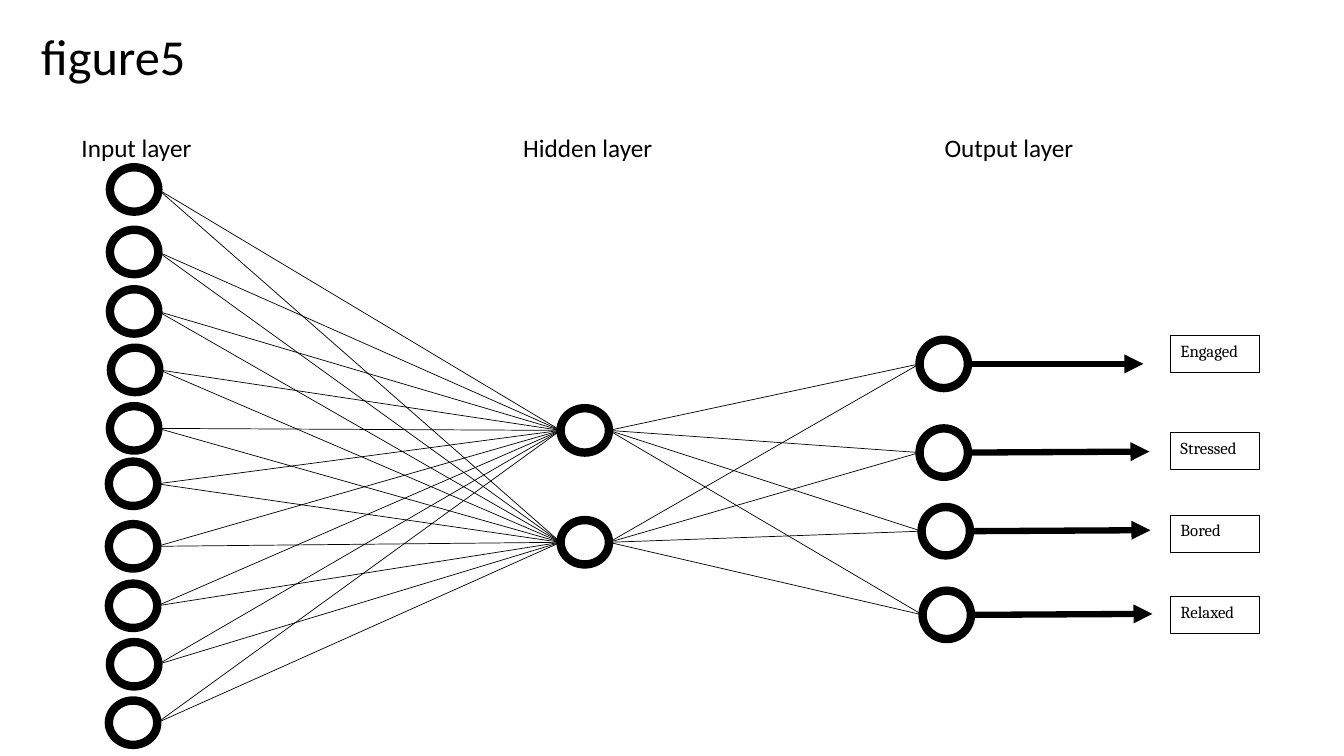
from dataclasses import dataclass
from itertools import product

from lxml.etree import SubElement
from pptx import Presentation
from pptx.dml.color import RGBColor
from pptx.enum.shapes import MSO_CONNECTOR, MSO_SHAPE
from pptx.enum.text import MSO_ANCHOR, MSO_AUTO_SIZE, PP_ALIGN
from pptx.oxml.ns import qn
from pptx.util import Inches, Pt


@dataclass(frozen=True)
class Theme:
    """Colours, fonts, type sizes and line weights."""
    ink: RGBColor = RGBColor(0, 0, 0)
    paper: RGBColor = RGBColor(255, 255, 255)
    font: str = "Calibri"
    label_font: str = "Cambria"
    title: int = 36
    heading: int = 18
    label: int = 12
    ring: float = 6
    arrow: float = 4.5
    border: float = 0.75
    link: float = 0.5


@dataclass(frozen=True)
class Node:
    """A neuron placed by its left and top edges."""
    left: float
    top: float
    height: float = 0.44
    width: float = 0.48

    @property
    def entry(self):
        """Return the left connection point."""
        return self.left, self.top + self.height / 2

    @property
    def exit_point(self):
        """Return the right connection point."""
        return self.left + self.width, self.top + self.height / 2


class Network:
    """Draws the parts of a neural network on one slide."""

    def __init__(self, s, theme):
        self.s = s
        self.theme = theme

    def run(self, tf, text, size, font):
        """Put one run into a text frame."""
        p = tf.paragraphs[0]
        p.alignment = PP_ALIGN.LEFT
        r = p.add_run()
        r.text = text
        r.font.size = Pt(size)
        r.font.name = font
        r.font.color.rgb = self.theme.ink

    def text(self, text, left, top, width, height, size):
        """Add a text box."""
        tf = self.s.shapes.add_textbox(*map(Inches, (left, top, width, height))).text_frame
        tf.word_wrap = True
        tf.auto_size = MSO_AUTO_SIZE.SHAPE_TO_FIT_TEXT
        self.run(tf, text, size, self.theme.font)

    def shape(self, kind, left, top, width, height, weight):
        """Add an outlined preset shape."""
        sp = self.s.shapes.add_shape(kind, *map(Inches, (left, top, width, height)))
        sp.shadow.inherit = False
        sp.line.color.rgb = self.theme.ink
        sp.line.width = Pt(weight)
        return sp

    def node(self, n):
        """Add a neuron ring."""
        sp = self.shape(MSO_SHAPE.FLOWCHART_CONNECTOR, n.left, n.top, n.width, n.height,
                        self.theme.ring)
        sp.fill.background()

    def label(self, text, left, top, width=0.88, height=0.37):
        """Add a boxed output label."""
        sp = self.shape(MSO_SHAPE.RECTANGLE, left, top, width, height, self.theme.border)
        sp.fill.solid()
        sp.fill.fore_color.rgb = self.theme.paper
        tf = sp.text_frame
        tf.word_wrap = True
        tf.vertical_anchor = MSO_ANCHOR.TOP
        self.run(tf, text, self.theme.label, self.theme.label_font)

    def line(self, start, end, weight):
        """Add a straight line."""
        cx = self.s.shapes.add_connector(MSO_CONNECTOR.STRAIGHT, *map(Inches, (*start, *end)))
        cx.line.color.rgb = self.theme.ink
        cx.line.width = Pt(weight)
        SubElement(cx.element.spPr, qn("a:effectLst"))
        return cx

    def link(self, source, target):
        """Join two neurons."""
        self.line(source.exit_point, target.entry, self.theme.link)

    def arrow(self, start, end):
        """Add a heavy line with an arrowhead."""
        cx = self.line(start, end, self.theme.arrow)
        SubElement(cx.element.spPr.get_or_add_ln(), qn("a:tailEnd"), type="triangle")


INPUTS = [Node(*at) for at in (
    (1.09, 1.66), (1.09, 2.28), (1.09, 2.87), (1.1, 3.45), (1.09, 4.03),
    (1.08, 4.58), (1.08, 5.2), (1.08, 5.79), (1.09, 6.37), (1.08, 6.95))]
HIDDEN = [Node(5.56, top) for top in (4.05, 5.16)]
OUTPUTS = [
    (Node(9.12, 3.37, 0.48), (11.34, 3.61), "Engaged", 3.33),
    (Node(9.12, 4.25, 0.48), (11.4, 4.48), "Stressed", 4.29),
    (Node(9.14, 5.03, 0.48), (11.41, 5.26), "Bored", 5.11),
    (Node(9.15, 5.86, 0.48), (11.43, 6.09), "Relaxed", 5.92),
]
HEADINGS = [("Input layer", 0.71), ("Hidden layer", 5.09), ("Output layer", 9.27)]


def main():
    """Build and save the slide."""
    prs = Presentation()
    prs.slide_width, prs.slide_height = Inches(13.33), Inches(7.5)
    theme = Theme()
    net = Network(prs.slides.add_slide(prs.slide_layouts[6]), theme)

    net.text("figure5", 0.31, 0.2, 5.51, 0.71, theme.title)
    for heading, left in HEADINGS:
        net.text(heading, left, 1.26, 1.89, 0.4, theme.heading)

    outputs = [output[0] for output in OUTPUTS]
    for n in INPUTS + HIDDEN + outputs:
        net.node(n)
    for source, target in [*product(INPUTS, HIDDEN), *product(HIDDEN, outputs)]:
        net.link(source, target)
    for n, tip, name, top in OUTPUTS:
        net.arrow(n.exit_point, tip)
        net.label(name, 11.61, top)

    prs.save("out.pptx")


if __name__ == "__main__":
    main()
